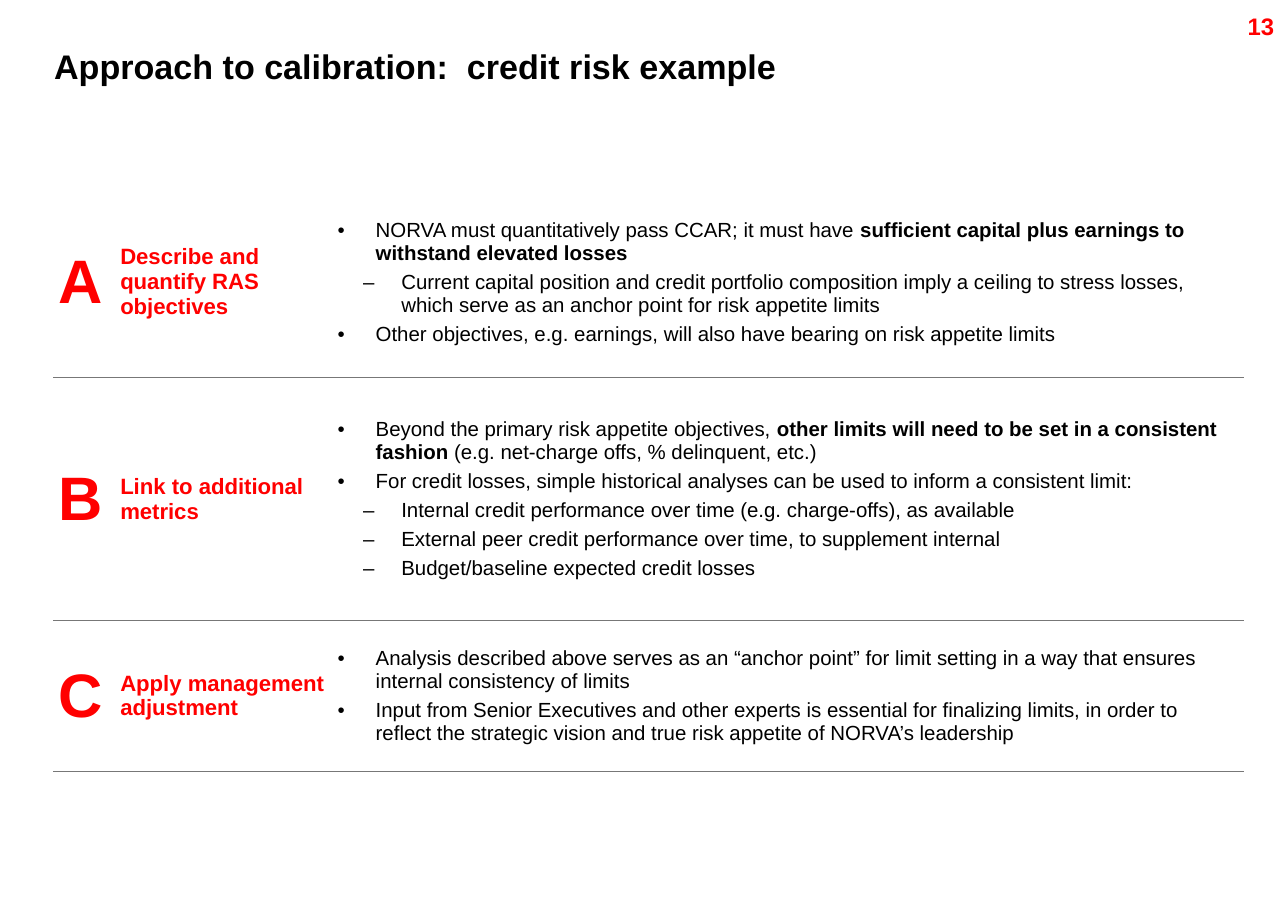
from dataclasses import dataclass

from lxml.etree import SubElement
from pptx import Presentation
from pptx.dml.color import RGBColor
from pptx.enum.text import MSO_ANCHOR as Anchor, MSO_AUTO_SIZE as AutoSize, PP_ALIGN as Align
from pptx.oxml import parse_xml
from pptx.oxml.ns import nsdecls, qn
from pptx.util import Cm, Pt


@dataclass(frozen=True)
class Theme:
    font: str = "Arial"
    ink: str = "000000"
    accent: str = "FF0000"
    rule: str = "777777"
    rule_width: float = 0.75
    title_size: int = 20
    number_size: int = 14
    letter_size: int = 36
    label_size: int = 13
    body_size: int = 12
    bullet_gap: float = 3.6


# Each point is (level, text); text between ** marks is bold.
STEPS = [
    ("A", "Describe and quantify RAS objectives", 3.96, [
        (1, "NORVA must quantitatively pass CCAR; it must have "
            "**sufficient capital plus earnings to withstand elevated losses**"),
        (2, "Current capital position and credit portfolio composition imply a ceiling to "
            "stress losses, which serve as an anchor point for risk appetite limits"),
        (1, "Other objectives, e.g. earnings, will also have bearing on risk appetite limits"),
    ]),
    ("B", "Link to additional metrics", 5.03, [
        (1, "Beyond the primary risk appetite objectives, **other limits will need to be set "
            "in a consistent fashion **(e.g. net-charge offs, % delinquent, etc.)"),
        (1, "For credit losses, simple historical analyses can be used to inform "
            "a consistent limit:"),
        (2, "Internal credit performance over time (e.g. charge-offs), as available"),
        (2, "External peer credit performance over time, to supplement internal"),
        (2, "Budget/baseline expected credit losses"),
    ]),
    ("C", "Apply management adjustment", 3.12, [
        (1, "Analysis described above serves as an “anchor point” for limit setting in a way "
            "that ensures internal consistency of limits"),
        (1, "Input from Senior Executives and other experts is essential for finalizing limits, "
            "in order to reflect the strategic vision and true risk appetite of "
            "NORVA’s leadership"),
    ]),
]
COLUMN_WIDTHS = [1.27, 4.5, 18.85]
BULLETS = {1: ("•", 0.79), 2: ("–", 1.32)}
HANGING = Cm(0.79)


class SlideBuilder:
    def __init__(self, page, theme):
        self.page = page
        self.theme = theme

    def style(self, para, size, color, bold=True):
        for span in para.runs:
            span.font.name = self.theme.font
            span.font.size = Pt(size)
            span.font.bold = bold
            span.font.color.rgb = RGBColor.from_string(color)

    def frame(self, box, anchor):
        frame = box.text_frame
        frame.word_wrap = True
        frame.auto_size = AutoSize.NONE
        frame.vertical_anchor = anchor
        frame.margin_left = frame.margin_right = frame.margin_top = frame.margin_bottom = 0
        return frame

    def title(self, text, left, top, width, height):
        box = self.page.shapes.title
        box.left, box.top, box.width, box.height = Cm(left), Cm(top), Cm(width), Cm(height)
        frame = self.frame(box, Anchor.TOP)
        frame.text = text
        para = frame.paragraphs[0]
        para.alignment = Align.LEFT
        para.line_spacing = 0.86
        self.style(para, self.theme.title_size, self.theme.ink)

    def page_number(self, text, left, top, width, height):
        box = self.page.shapes.add_textbox(Cm(left), Cm(top), Cm(width), Cm(height))
        frame = self.frame(box, Anchor.MIDDLE)
        frame.text = text
        frame.paragraphs[0].alignment = Align.CENTER
        self.style(frame.paragraphs[0], self.theme.number_size, self.theme.accent)

    def heading(self, cell, text, size):
        cell.text_frame.text = text
        self.style(cell.text_frame.paragraphs[0], size, self.theme.accent)

    def bullets(self, cell, points):
        frame = cell.text_frame
        for index, (level, text) in enumerate(points):
            para = frame.add_paragraph() if index else frame.paragraphs[0]
            para.space_before = Pt(self.theme.bullet_gap if index else 0)
            for part, words in enumerate(text.split("**")):
                if words:
                    para.add_run().text = words
                    para.runs[-1].font.bold = part % 2 == 1
            self.style(para, self.theme.body_size, self.theme.ink, None)
            for span, bold in zip(para.runs, self.bold_flags(text)):
                span.font.bold = bold
            mark, indent = BULLETS[level]
            props = para._p.get_or_add_pPr()
            props.set("marL", str(Cm(indent)))
            props.set("indent", str(-HANGING))
            SubElement(props, qn("a:buFont")).set("typeface", self.theme.font)
            SubElement(props, qn("a:buChar")).set("char", mark)

    @staticmethod
    def bold_flags(text):
        return [part % 2 == 1 for part, words in enumerate(text.split("**")) if words]

    def rules(self, cell, sides):
        """Draw the horizontal borders named in sides, given in schema order."""
        props = cell._tc.get_or_add_tcPr()
        for position, side in enumerate(sides):
            props.insert(position, parse_xml(
                f'<a:{side} {nsdecls("a")} w="{Pt(self.theme.rule_width)}"><a:solidFill>'
                f'<a:srgbClr val="{self.theme.rule}"/></a:solidFill></a:{side}>'))

    def step_table(self, steps, left, top):
        height = sum(step[2] for step in steps)
        table = self.page.shapes.add_table(
            len(steps), len(COLUMN_WIDTHS), Cm(left), Cm(top),
            Cm(sum(COLUMN_WIDTHS)), Cm(height)).table
        table.first_row = table.horz_banding = False
        for column, width in zip(table.columns, COLUMN_WIDTHS):
            column.width = Cm(width)
        for index, (letter, label, row_height, points) in enumerate(steps):
            row = table.rows[index]
            row.height = Cm(row_height)
            for cell in row.cells:
                cell.fill.background()
                cell.vertical_anchor = Anchor.MIDDLE
                cell.margin_left = cell.margin_right = Cm(0.1)
                cell.margin_top = cell.margin_bottom = Cm(0.1)
                self.rules(cell, ["lnT", "lnB"] if index else ["lnB"])
            letter_cell, label_cell, points_cell = row.cells
            self.heading(letter_cell, letter, self.theme.letter_size)
            self.heading(label_cell, label, self.theme.label_size)
            self.bullets(points_cell, points)


def main():
    deck = Presentation()
    deck.slide_width, deck.slide_height = Cm(26.67), Cm(19.05)
    title_only = deck.slide_layouts[5]
    builder = SlideBuilder(deck.slides.add_slide(title_only), Theme())
    builder.page_number("13", 25.55, 0, 1.12, 1.07)
    builder.title("Approach to calibration:  credit risk example", 1.12, 1.07, 24.43, 2.03)
    builder.step_table(STEPS, 1.12, 3.86)
    deck.save("out.pptx")


if __name__ == "__main__":
    main()
